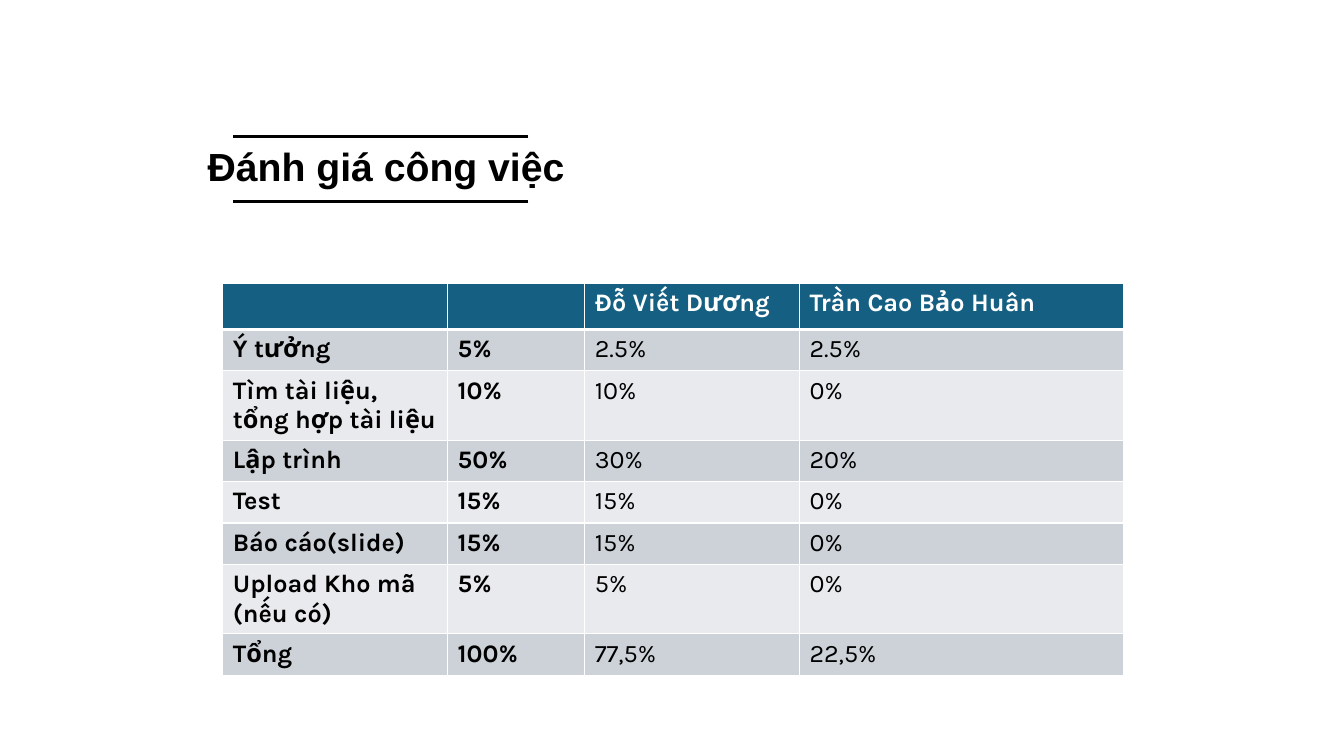
from lxml import etree
from pptx import Presentation
from pptx.dml.color import RGBColor
from pptx.enum.shapes import MSO_CONNECTOR
from pptx.enum.text import MSO_ANCHOR, MSO_AUTO_SIZE, PP_ALIGN
from pptx.oxml.ns import qn
from pptx.util import Emu, Pt

STRAIGHT = MSO_CONNECTOR.STRAIGHT
MIDDLE = MSO_ANCHOR.MIDDLE
NO_AUTOFIT = MSO_AUTO_SIZE.NONE
LEFT = PP_ALIGN.LEFT

EMU_PER_PX = 9144
TITLE_ONLY = 5
COLORS = {
    "ink": "000000",
    "paper": "FFFFFF",
    "header": "156082",
    "band_dark": "CCD2D8",
    "band_light": "E8EAED",
}

COLUMN_WIDTHS = [223, 136, 213, 321]
HEADER_HEIGHT = 46
ROW_HEIGHT = 41
TALL_ROW_HEIGHT = 69
TALL_ROWS = (2, 6)
WORK_SHARES = [
    ["", "", "Đỗ Viết Dương", "Trần Cao Bảo Huân"],
    ["Ý tưởng", "5%", "2.5%", "2.5%"],
    ["Tìm tài liệu, tổng hợp tài liệu", "10%", "10%", "0%"],
    ["Lập trình", "50%", "30%", "20%"],
    ["Test", "15%", "15%", "0%"],
    ["Báo cáo(slide)", "15%", "15%", "0%"],
    ["Upload Kho mã\n(nếu có)", "5%", "5%", "0%"],
    ["Tổng", "100%", "77,5%", "22,5%"],
]


def px(length):
    return Emu(length * EMU_PER_PX)


def rgb(name):
    return RGBColor.from_string(COLORS[name])


def write_text(frame, text, *, font, size, color="ink", bold=False):
    frame.text = text
    for paragraph in frame.paragraphs:
        paragraph.alignment = LEFT
        for run in paragraph.runs:
            run.font.name = font
            run.font.size = Pt(size)
            run.font.bold = bold
            run.font.color.rgb = rgb(color)


def place_title(slide, text, left, top, width, height):
    title = slide.shapes.title
    title.left, title.top = px(left), px(top)
    title.width, title.height = px(width), px(height)
    frame = title.text_frame
    frame.word_wrap = True
    frame.auto_size = NO_AUTOFIT
    frame.vertical_anchor = MIDDLE
    write_text(frame, text, font="Arial", size=28, bold=True)


def add_rule(slide, left, right, y):
    rule = slide.shapes.add_connector(STRAIGHT, px(right), px(y), px(left), px(y))
    rule.line.color.rgb = rgb("ink")
    rule.line.width = Pt(2.25)
    etree.SubElement(rule._element.spPr, qn("a:effectLst"))


def set_borders(cell, bottom):
    properties = cell._tc.get_or_add_tcPr()
    widths = {"lnL": 1, "lnR": 1, "lnT": 1, "lnB": bottom}
    for position, (side, width) in enumerate(widths.items()):
        border = etree.Element(qn(f"a:{side}"), w=str(Pt(width)))
        fill = etree.SubElement(border, qn("a:solidFill"))
        etree.SubElement(fill, qn("a:srgbClr"), val=COLORS["paper"])
        properties.insert(position, border)


def row_height(row):
    if row == 0:
        return HEADER_HEIGHT
    return TALL_ROW_HEIGHT if row in TALL_ROWS else ROW_HEIGHT


def row_fill(row):
    if row == 0:
        return "header"
    return "band_dark" if row % 2 else "band_light"


def add_share_table(slide, left, top):
    heights = [row_height(row) for row in range(len(WORK_SHARES))]
    table = slide.shapes.add_table(
        len(heights), len(COLUMN_WIDTHS),
        px(left), px(top), px(sum(COLUMN_WIDTHS)), px(sum(heights)),
    ).table
    for column, width in zip(table.columns, COLUMN_WIDTHS):
        column.width = px(width)
    for row, shares in enumerate(WORK_SHARES):
        table.rows[row].height = px(heights[row])
        is_header = row == 0
        for column, text in enumerate(shares):
            cell = table.cell(row, column)
            cell.fill.solid()
            cell.fill.fore_color.rgb = rgb(row_fill(row))
            set_borders(cell, bottom=3 if is_header else 1)
            write_text(
                cell.text_frame, text, font="Karla", size=18,
                color="paper" if is_header else "ink",
                bold=is_header or column < 2,
            )


def main():
    presentation = Presentation()
    presentation.slide_width, presentation.slide_height = px(1333), px(750)
    slide = presentation.slides.add_slide(presentation.slide_layouts[TITLE_ONLY])
    place_title(slide, "Đánh giá công việc", 196, 136, 615, 57)
    for y in (200, 135):
        add_rule(slide, 231, 524, y)
    add_share_table(slide, 221, 281)
    presentation.save("out.pptx")


if __name__ == "__main__":
    main()
